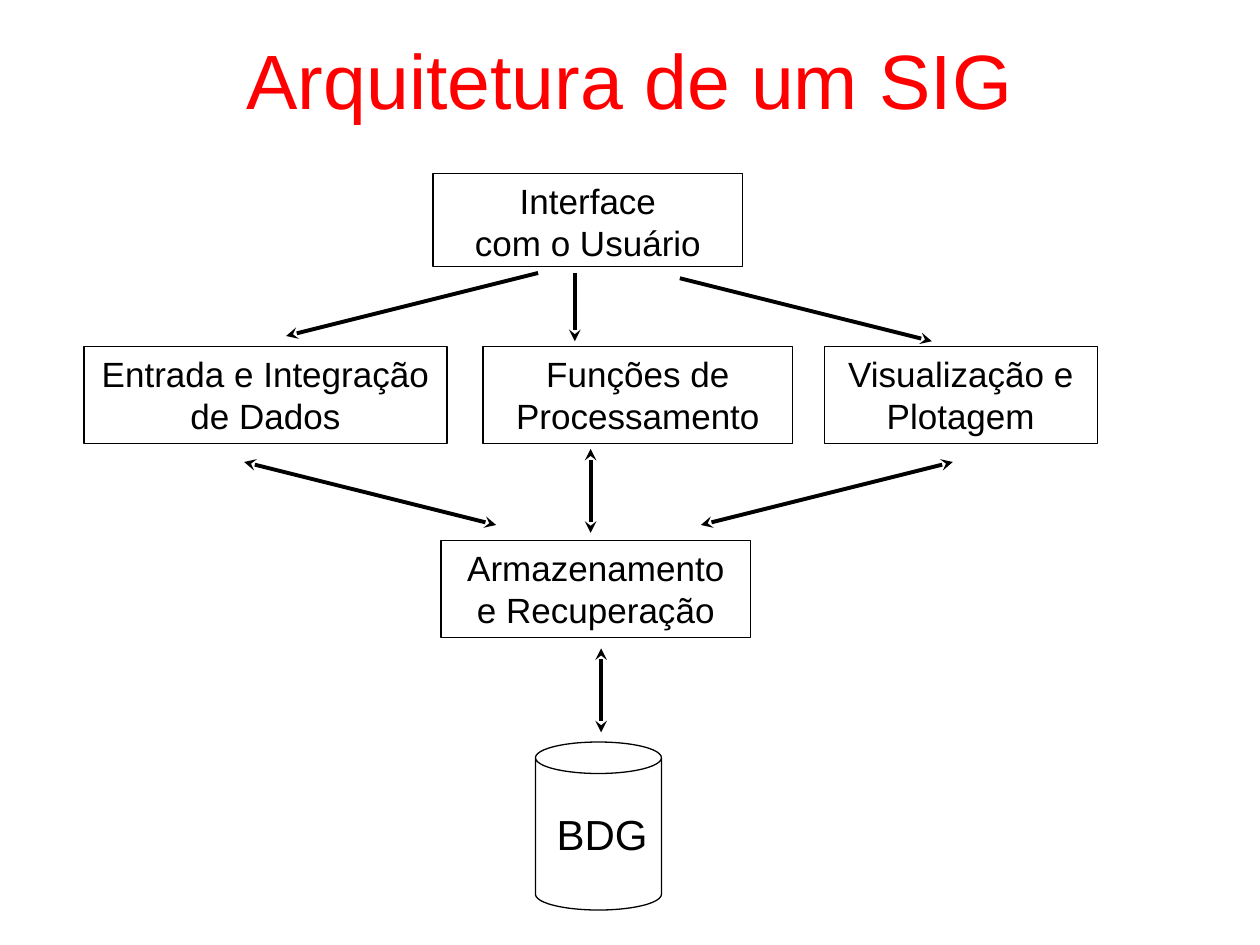
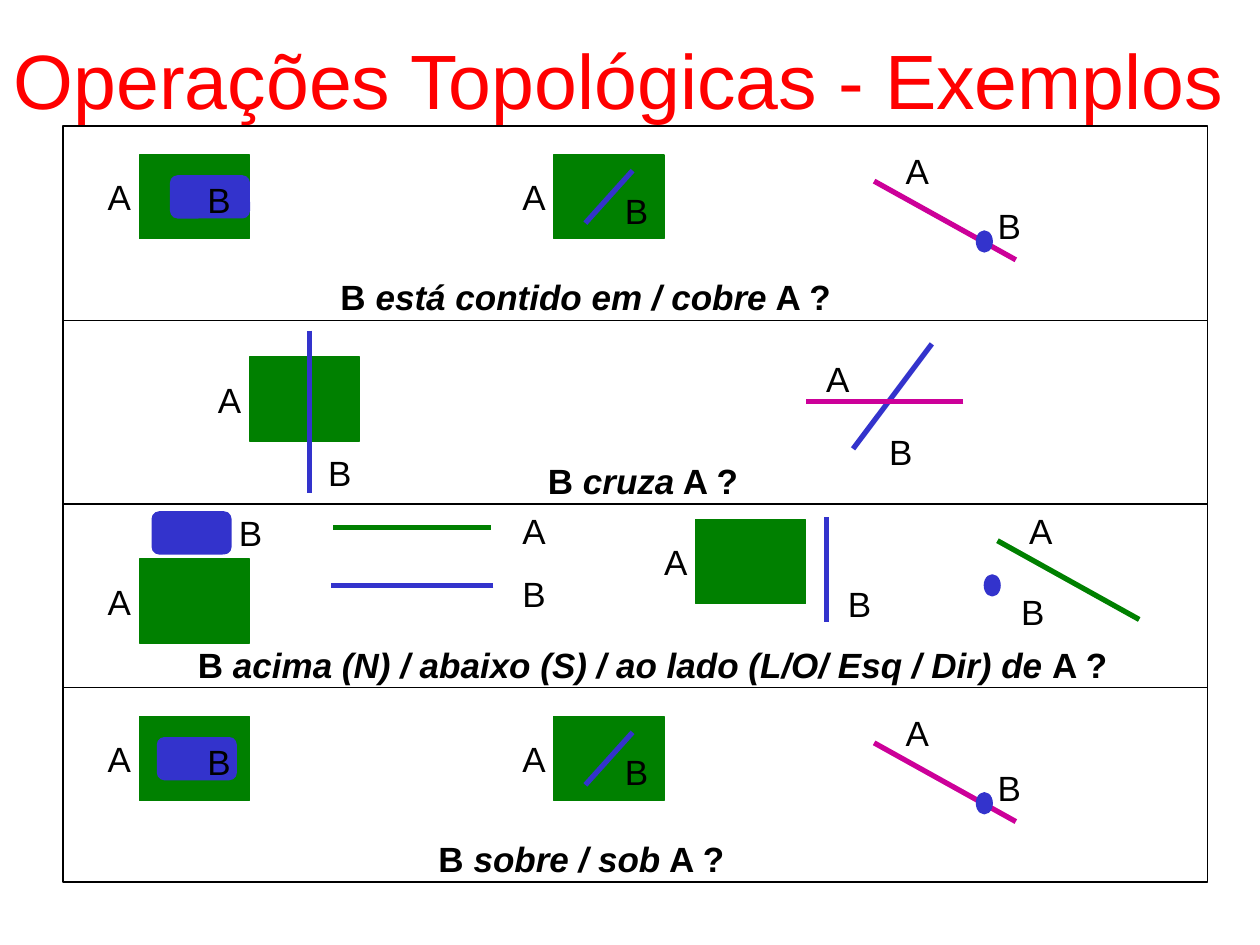
from dataclasses import dataclass
from itertools import accumulate

import lxml.etree
import pptx
import pptx.dml.color
import pptx.enum.shapes
import pptx.enum.text
import pptx.oxml.ns
import pptx.presentation
import pptx.shapes.autoshape
import pptx.slide
import pptx.text.text
import pptx.util

Pt = pptx.util.Pt
RGBColor = pptx.dml.color.RGBColor
MSO_SHAPE = pptx.enum.shapes.MSO_SHAPE
PP_ALIGN = pptx.enum.text.PP_ALIGN
MSO_ANCHOR = pptx.enum.text.MSO_ANCHOR
MSO_AUTO_SIZE = pptx.enum.text.MSO_AUTO_SIZE

BLACK = RGBColor(0x00, 0x00, 0x00)
RED = RGBColor(0xFF, 0x00, 0x00)
GREEN = RGBColor(0x00, 0x80, 0x00)
BLUE = RGBColor(0x33, 0x33, 0xCC)
MAGENTA = RGBColor(0xCC, 0x00, 0x99)
FONT = "Arial"
SLIDE_WIDTH, SLIDE_HEIGHT = 720, 540
TITLE_HEIGHT = 90
LABEL_HEIGHT = 31.5
LETTER_WIDTH = 27.5
FRAME_LEFT, FRAME_TOP, FRAME_WIDTH = 36, 72, 654
FRAME_HEIGHTS = (111, 105, 105, 111)
LAST_ROW_SHIFT = 321


@dataclass
class Module:
    lines: tuple[str, ...]
    left: float
    top: float
    width: float
    height: float = 55.5


@dataclass
class Line:
    x1: float
    y1: float
    x2: float
    y2: float
    color: RGBColor = BLACK
    width: float = 3
    head: bool = False
    tail: bool = False


@dataclass
class Letter:
    text: str
    left: float
    top: float


@dataclass
class Caption:
    relation: str
    left: float
    top: float
    width: float


MODULES = (
    Module(("Interface", "com o Usuário"), 247.5, 99, 177, 53.5),
    Module(("Entrada e Integração de Dados",), 48, 198, 207.5),
    Module(("Funções de Processamento",), 276, 198, 177),
    Module(("Visualização e Plotagem",), 471, 198, 156),
    Module(("Armazenamento e Recuperação",), 252, 309, 177),
)
COMMANDS = (
    (307.5, 156, 163.5, 192),
    (328.5, 156, 328.5, 195),
    (388.5, 159, 532.5, 195),
)
EXCHANGES = (
    (544.5, 264, 400.5, 300),
    (139.5, 264, 283.5, 300),
    (337.5, 256.5, 337.5, 304.5),
    (343.5, 370.5, 343.5, 418.5),
)
CAPTIONS = (
    Caption("está contido em / cobre", 187.5, 154, 296),
    Caption("cruza", 306, 259, 124.5),
    Caption("acima (N) / abaixo (S) / ao lado (L/O/ Esq / Dir) de", 106, 364, 535.5),
    Caption("sobre / sob", 243.5, 475, 179.5),
)
CROSSING_LINES = (
    Line(177, 189, 177, 282, BLUE),
    Line(532.5, 196.5, 487.5, 256.5, BLUE),
    Line(550.5, 229.5, 460.5, 229.5, MAGENTA),
)
CROSSING_LETTERS = (
    Letter("B", 180.5, 254.5),
    Letter("A", 465, 200.5),
    Letter("B", 501, 242.5),
)
DIRECTION_LINES = (
    Line(280.5, 301.5, 190.5, 301.5, GREEN),
    Line(282, 334.5, 189, 334.5, BLUE),
    Line(472.5, 295.5, 472.5, 355.5, BLUE),
    Line(651, 354, 570, 309, GREEN),
)
DIRECTION_LETTERS = (
    Letter("B", 129.5, 289),
    Letter("A", 291.5, 287.5),
    Letter("B", 291.5, 323.5),
    Letter("B", 477.5, 329.5),
    Letter("A", 581, 287.5),
    Letter("B", 576.5, 334),
)


def add_text(p: pptx.text.text._Paragraph, text: str, *, size: float = 20,
             color: RGBColor = BLACK, bold: bool = False, italic: bool = False) -> None:
    r = p.add_run()
    r.text = text
    r.font.name = FONT
    r.font.size = Pt(size)
    r.font.color.rgb = color
    r.font.bold = bold
    r.font.italic = italic


def add_titled_slide(prs: pptx.presentation.Presentation, title: str) -> pptx.slide.Slide:
    s = prs.slides.add_slide(prs.slide_layouts[5])
    sp = s.shapes.title
    sp.left, sp.top = Pt(0), Pt(0)
    sp.width, sp.height = Pt(SLIDE_WIDTH), Pt(TITLE_HEIGHT)
    tf = sp.text_frame
    tf.word_wrap = True
    tf.auto_size = MSO_AUTO_SIZE.NONE
    tf.vertical_anchor = MSO_ANCHOR.MIDDLE
    p = tf.paragraphs[0]
    p.alignment = PP_ALIGN.CENTER
    add_text(p, title, size=44, color=RED)
    return s


def add_figure(s: pptx.slide.Slide, kind: MSO_SHAPE, left: float, top: float,
               width: float, height: float,
               color: RGBColor | None = None) -> pptx.shapes.autoshape.Shape:
    sp = s.shapes.add_shape(kind, Pt(left), Pt(top), Pt(width), Pt(height))
    sp.shadow.inherit = False
    sp.line.width = Pt(0.75)
    sp.line.color.rgb = color or BLACK
    if color is None:
        sp.fill.background()
    else:
        sp.fill.solid()
        sp.fill.fore_color.rgb = color
    return sp


def add_line(s: pptx.slide.Slide, line: Line, dy: float = 0) -> None:
    c = s.shapes.add_connector(pptx.enum.shapes.MSO_CONNECTOR.STRAIGHT,
                               Pt(line.x1), Pt(line.y1 + dy), Pt(line.x2), Pt(line.y2 + dy))
    c.line.color.rgb = line.color
    c.line.width = Pt(line.width)
    ln = c.line._get_or_add_ln()
    for tag, shown in (("a:headEnd", line.head), ("a:tailEnd", line.tail)):
        if shown:
            lxml.etree.SubElement(ln, pptx.oxml.ns.qn(tag), type="stealth")
    lxml.etree.SubElement(c._element.spPr, pptx.oxml.ns.qn("a:effectLst"))


def add_label(s: pptx.slide.Slide, left: float, top: float, width: float,
              height: float = LABEL_HEIGHT) -> pptx.text.text._Paragraph:
    tf = s.shapes.add_textbox(Pt(left), Pt(top), Pt(width), Pt(height)).text_frame
    tf.word_wrap = False
    tf.auto_size = MSO_AUTO_SIZE.SHAPE_TO_FIT_TEXT
    return tf.paragraphs[0]


def add_letter(s: pptx.slide.Slide, letter: Letter, dy: float = 0) -> None:
    add_text(add_label(s, letter.left, letter.top + dy, LETTER_WIDTH), letter.text)


def add_caption(s: pptx.slide.Slide, caption: Caption) -> None:
    p = add_label(s, caption.left, caption.top, caption.width)
    add_text(p, "B ", bold=True)
    add_text(p, caption.relation, bold=True, italic=True)
    add_text(p, " A ?", bold=True)


def add_module(s: pptx.slide.Slide, module: Module) -> None:
    sp = add_figure(s, MSO_SHAPE.RECTANGLE, module.left, module.top, module.width, module.height)
    tf = sp.text_frame
    tf.word_wrap = True
    tf.vertical_anchor = MSO_ANCHOR.TOP
    for i, text in enumerate(module.lines):
        p = tf.add_paragraph() if i else tf.paragraphs[0]
        p.alignment = PP_ALIGN.CENTER
        p.line_spacing = Pt(24)
        add_text(p, text)


def add_region(s: pptx.slide.Slide, left: float, top: float) -> None:
    add_figure(s, MSO_SHAPE.RECTANGLE, left, top, 63, 48, GREEN)
    add_letter(s, Letter("A", left - 25, top + 8.5))


def add_parcel(s: pptx.slide.Slide, left: float, top: float) -> None:
    add_figure(s, MSO_SHAPE.ROUNDED_RECTANGLE, left, top, 45, 24, BLUE)


def add_point(s: pptx.slide.Slide, left: float, top: float) -> None:
    add_figure(s, MSO_SHAPE.OVAL, left, top, 9, 12, BLUE)


def add_containment_row(s: pptx.slide.Slide, parcel_left: float, dy: float = 0) -> None:
    for left in (79.5, 316.5):
        add_region(s, left, 88.5 + dy)
    add_parcel(s, parcel_left, 100.5 + dy)
    add_line(s, Line(361.5, 97.5, 334.5, 127.5, BLUE), dy)
    add_line(s, Line(580.5, 148.5, 499.5, 103.5, MAGENTA), dy)
    add_point(s, 558, 132 + dy)
    for letter in (Letter("B", 111.5, 98.5), Letter("B", 350, 104.5),
                   Letter("A", 510.5, 82), Letter("B", 563, 113.5)):
        add_letter(s, letter, dy)


def build_architecture(prs: pptx.presentation.Presentation) -> None:
    s = add_titled_slide(prs, "Arquitetura de um SIG")
    for module in MODULES:
        add_module(s, module)
    add_figure(s, MSO_SHAPE.CAN, 306, 424, 72, 96)
    add_text(add_label(s, 311, 458.5, 72, 36), "BDG", size=24)
    for ends in COMMANDS:
        add_line(s, Line(*ends, width=2.25, tail=True))
    for ends in EXCHANGES:
        add_line(s, Line(*ends, width=2.25, head=True, tail=True))


def build_topology(prs: pptx.presentation.Presentation) -> None:
    s = add_titled_slide(prs, "Operações Topológicas - Exemplos ")
    for top, height in zip(accumulate(FRAME_HEIGHTS, initial=FRAME_TOP), FRAME_HEIGHTS):
        add_figure(s, MSO_SHAPE.RECTANGLE, FRAME_LEFT, top, FRAME_WIDTH, height)
    for caption in CAPTIONS:
        add_caption(s, caption)
    add_containment_row(s, 97.5)
    add_containment_row(s, 90, LAST_ROW_SHIFT)
    for left, top in ((142.5, 204), (79.5, 319.5), (397.5, 297)):
        add_region(s, left, top)
    add_parcel(s, 87, 292.5)
    add_point(s, 562.5, 328.5)
    for line in CROSSING_LINES + DIRECTION_LINES:
        add_line(s, line)
    for letter in CROSSING_LETTERS + DIRECTION_LETTERS:
        add_letter(s, letter)


def main() -> None:
    prs = pptx.Presentation()
    prs.slide_width, prs.slide_height = Pt(SLIDE_WIDTH), Pt(SLIDE_HEIGHT)
    build_architecture(prs)
    build_topology(prs)
    prs.save("out.pptx")


if __name__ == "__main__":
    main()
